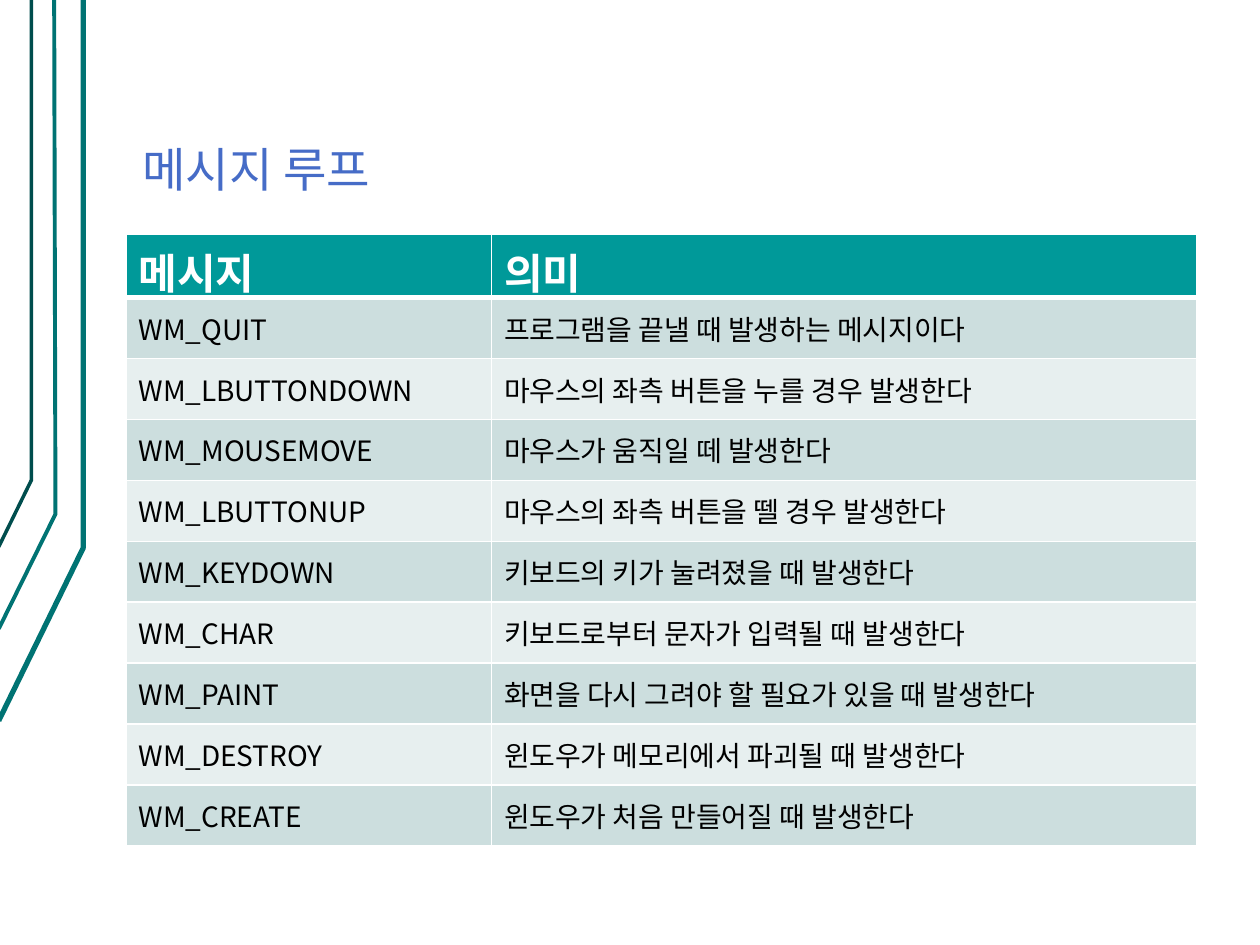
from typing import NamedTuple

from lxml.etree import SubElement
from pptx import Presentation
from pptx.dml.color import RGBColor
from pptx.enum.text import MSO_ANCHOR
from pptx.oxml import parse_xml
from pptx.oxml.ns import nsdecls, qn
from pptx.util import Inches, Pt

FONT = "Noto Sans CJK KR"
WHITE = RGBColor(0xFF, 0xFF, 0xFF)
BLACK = RGBColor(0, 0, 0)
BLUE = RGBColor(0x46, 0x6C, 0xC7)
TEAL = RGBColor(0, 0x99, 0x99)
DEEP = RGBColor(0, 0x73, 0x73)
DARK = RGBColor(0, 0x4D, 0x4D)
BANDS = (RGBColor(0xCC, 0xDE, 0xDE), RGBColor(0xE7, 0xEF, 0xEF))


class Stripe(NamedTuple):
    points: tuple[tuple[float, float], ...]
    color: RGBColor
    width: float


class Entry(NamedTuple):
    name: str
    sense: str


STRIPES = (
    Stripe(((-0.01, 5.72), (0.66, 4.35), (0.66, 0)), DEEP, 3),
    Stripe(((-0.01, 4.99), (0.44, 4.08), (0.43, 0)), DEEP, 2.25),
    Stripe(((-0.01, 4.34), (0.25, 3.81), (0.25, 0)), DARK, 2),
)

HEAD = Entry("메시지", "의미")
ENTRIES = (
    Entry("WM_QUIT", "프로그램을 끝낼 때 발생하는 메시지이다"),
    Entry("WM_LBUTTONDOWN", "마우스의 좌측 버튼을 누를 경우 발생한다"),
    Entry("WM_MOUSEMOVE", "마우스가 움직일 떼 발생한다"),
    Entry("WM_LBUTTONUP", "마우스의 좌측 버튼을 뗄 경우 발생한다"),
    Entry("WM_KEYDOWN", "키보드의 키가 눌려졌을 때 발생한다"),
    Entry("WM_CHAR", "키보드로부터 문자가 입력될 때 발생한다"),
    Entry("WM_PAINT", "화면을 다시 그려야 할 필요가 있을 때 발생한다"),
    Entry("WM_DESTROY", "윈도우가 메모리에서 파괴될 때 발생한다"),
    Entry("WM_CREATE", "윈도우가 처음 만들어질 때 발생한다"),
)


def add_run(para, text: str, size: float, color: RGBColor, bold: bool = False) -> None:
    run = para.add_run()
    run.text = text
    font = run.font
    font.size = Pt(size)
    font.bold = bold
    font.color.rgb = color
    font.name = FONT
    SubElement(run._r.get_or_add_rPr(), qn("a:ea")).set("typeface", FONT)


def draw_stripe(slide, stripe: Stripe) -> None:
    start, *rest = [(Inches(x), Inches(y)) for x, y in stripe.points]
    pen = slide.shapes.build_freeform(*start)
    pen.add_line_segments(rest, close=False)
    shape = pen.convert_to_shape()
    shape.shadow.inherit = False
    shape.fill.background()
    shape.line.color.rgb = stripe.color
    shape.line.width = Pt(stripe.width)


def draw_title(slide, text: str) -> None:
    box = slide.shapes.add_textbox(Inches(1), Inches(0.3), Inches(8.5), Inches(1.34))
    frame = box.text_frame
    frame.word_wrap = True
    frame.vertical_anchor = MSO_ANCHOR.BOTTOM
    frame.margin_left = frame.margin_right = Inches(0.13)
    frame.margin_top = frame.margin_bottom = Inches(0.07)
    para = frame.paragraphs[0]
    para.line_spacing = 0.9
    add_run(para, text, 27, BLUE)


def set_edges(cell, top: float, base: float) -> None:
    """Give the cell white borders; top and base are widths in points."""
    widths = {"lnL": 1, "lnR": 1, "lnT": top, "lnB": base}
    props = cell._tc.get_or_add_tcPr()
    for spot, (tag, width) in enumerate(widths.items()):
        props.insert(spot, parse_xml(
            f'<a:{tag} {nsdecls("a")} w="{Pt(width)}"><a:solidFill>'
            f'<a:srgbClr val="{WHITE}"/></a:solidFill></a:{tag}>'))


def draw_table(slide, entries: tuple[Entry, ...]) -> None:
    rows = (HEAD, *entries)
    frame = slide.shapes.add_table(
        len(rows), 2, Inches(1), Inches(1.86), Inches(8.5), Inches(4.84))
    table = frame.table
    for col, width in zip(table.columns, (2.9, 5.6)):
        col.width = Inches(width)
    for i, entry in enumerate(rows):
        head = i == 0
        for j, text in enumerate(entry):
            cell = table.cell(i, j)
            cell.fill.solid()
            cell.fill.fore_color.rgb = TEAL if head else BANDS[(i - 1) % 2]
            cell.vertical_anchor = MSO_ANCHOR.TOP if head else MSO_ANCHOR.MIDDLE
            set_edges(cell, 3 if i == 1 else 1, 3 if head else 1)
            para = cell.text_frame.paragraphs[0]
            add_run(para, text, 24 if head else 16, WHITE if head else BLACK, head)


def main() -> None:
    deck = Presentation()
    deck.slide_width, deck.slide_height = Inches(10), Inches(7.5)
    slide = deck.slides.add_slide(deck.slide_layouts[6])
    for stripe in STRIPES:
        draw_stripe(slide, stripe)
    draw_title(slide, "메시지 루프")
    draw_table(slide, ENTRIES)
    deck.save("out.pptx")


if __name__ == "__main__":
    main()
